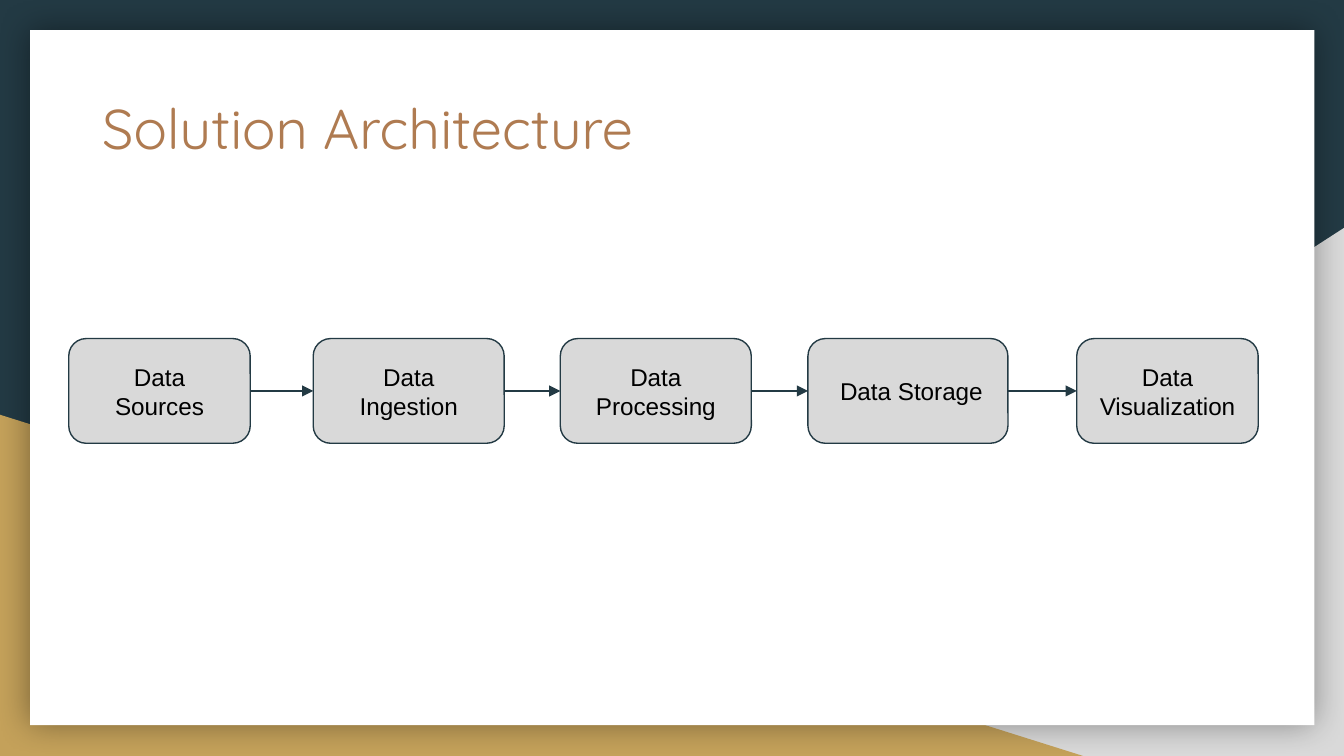
import pptx
import pptx.util
import pptx.dml.color
import pptx.enum.shapes
import pptx.enum.text
import pptx.oxml
import pptx.oxml.ns
from pptx.util import Cm

NAVY, GOLD, GREY, WHITE = "233A44", "C4A15A", "D9D9D9", "FFFFFF"
BLACK, COPPER = "000000", "AF7B51"
WIDTH, HEIGHT = 25.4, 14.29
STAGE_TOP, STAGE_HEIGHT = 6.4, 1.98
STAGES = [
    ("Data Sources", 1.3, 3.43),
    ("Data Ingestion", 5.92, 3.61),
    ("Data Processing", 10.59, 3.61),
    (" Data Storage", 15.27, 3.78),
    ("Data Visualization", 20.35, 3.43),
]


def rgb(value):
    """Return the colour for a hex string."""
    return pptx.dml.color.RGBColor.from_string(value)


def add_effects(element, inner=""):
    """Append an effect list to the shape properties of an element."""
    element.spPr.append(pptx.oxml.parse_xml(
        f'<a:effectLst {pptx.oxml.ns.nsdecls("a")}>{inner}</a:effectLst>'))


def set_insets(frame):
    """Give a text frame equal insets on all sides."""
    frame.margin_left = frame.margin_right = Cm(0.25)
    frame.margin_top = frame.margin_bottom = Cm(0.25)


def add_panel(slide, kind, left, top, width, height, fill):
    """Add a filled shape without outline."""
    panel = slide.shapes.add_shape(kind, Cm(left), Cm(top), Cm(width), Cm(height))
    panel.fill.solid()
    panel.fill.fore_color.rgb = rgb(fill)
    panel.line.fill.background()
    return panel


def add_backdrop(slide):
    """Draw the coloured corners and the shadowed white card."""
    slide.background.fill.solid()
    slide.background.fill.fore_color.rgb = rgb(NAVY)
    shapes = pptx.enum.shapes.MSO_SHAPE
    grey_corner = add_panel(slide, shapes.RIGHT_TRIANGLE,
                            WIDTH - 15.44, HEIGHT - 9.98, 15.44, 9.98, GREY)
    grey_corner.shadow.inherit = False
    grey_corner._element.spPr.xfrm.set("flipH", "1")
    gold_corner = add_panel(slide, shapes.RIGHT_TRIANGLE,
                            0, HEIGHT - 6.45, 20.47, 6.45, GOLD)
    gold_corner.shadow.inherit = False
    card = add_panel(slide, shapes.RECTANGLE, 0.57, 0.57, 24.27, 13.14, WHITE)
    add_effects(card._element,
                f'<a:outerShdw blurRad="{pptx.util.Pt(18)}" dist="0" dir="0" '
                'algn="ctr" rotWithShape="0"><a:srgbClr val="000000">'
                '<a:alpha val="40000"/></a:srgbClr></a:outerShdw>')


def add_stage(slide, label, left, width):
    """Add one rounded box of the pipeline."""
    stage = add_panel(slide, pptx.enum.shapes.MSO_SHAPE.ROUNDED_RECTANGLE,
                      left, STAGE_TOP, width, STAGE_HEIGHT, GREY)
    stage.shadow.inherit = False
    stage.line.color.rgb = rgb(NAVY)
    stage.line.width = pptx.util.Pt(0.75)
    frame = stage.text_frame
    frame.text = label
    frame.word_wrap = True
    frame.vertical_anchor = pptx.enum.text.MSO_ANCHOR.MIDDLE
    set_insets(frame)
    paragraph = frame.paragraphs[0]
    paragraph.alignment = pptx.enum.text.PP_ALIGN.CENTER
    set_font(paragraph.font, "Arial", 13, BLACK)
    return stage


def set_font(font, name, size, color):
    """Set the typeface, size and colour of a font."""
    font.name = name
    font.size = pptx.util.Pt(size)
    font.color.rgb = rgb(color)


def add_arrow(slide, source, target):
    """Join two stages with an arrow from left to right."""
    arrow = slide.shapes.add_connector(
        pptx.enum.shapes.MSO_CONNECTOR.STRAIGHT, 0, 0, 0, 0)
    arrow.begin_connect(source, 3)
    arrow.end_connect(target, 1)
    arrow.line.color.rgb = rgb(NAVY)
    arrow.line.width = pptx.util.Pt(0.75)
    arrow.line._get_or_add_ln().append(pptx.oxml.parse_xml(
        f'<a:tailEnd {pptx.oxml.ns.nsdecls("a")} type="triangle"/>'))
    add_effects(arrow._element)


def add_title(slide, text):
    """Fill the title placeholder and bring it in front of the card."""
    title = slide.shapes.title
    title.left, title.top = Cm(1.68), Cm(1.52)
    title.width, title.height = Cm(21.49), Cm(2.64)
    frame = title.text_frame
    frame.text = text
    frame.word_wrap = True
    frame.vertical_anchor = pptx.enum.text.MSO_ANCHOR.TOP
    set_insets(frame)
    paragraph = frame.paragraphs[0]
    paragraph.alignment = pptx.enum.text.PP_ALIGN.LEFT
    set_font(paragraph.font, "Quicksand", 30, COPPER)
    slide.shapes._spTree.append(title._element)


def main():
    """Build the solution architecture slide."""
    deck = pptx.Presentation()
    deck.slide_width, deck.slide_height = Cm(WIDTH), Cm(HEIGHT)
    slide = deck.slides.add_slide(deck.slide_layouts[5])
    add_backdrop(slide)
    stages = [add_stage(slide, *stage) for stage in STAGES]
    for source, target in zip(stages, stages[1:]):
        add_arrow(slide, source, target)
    add_title(slide, "Solution Architecture")
    deck.save("out.pptx")


if __name__ == "__main__":
    main()
